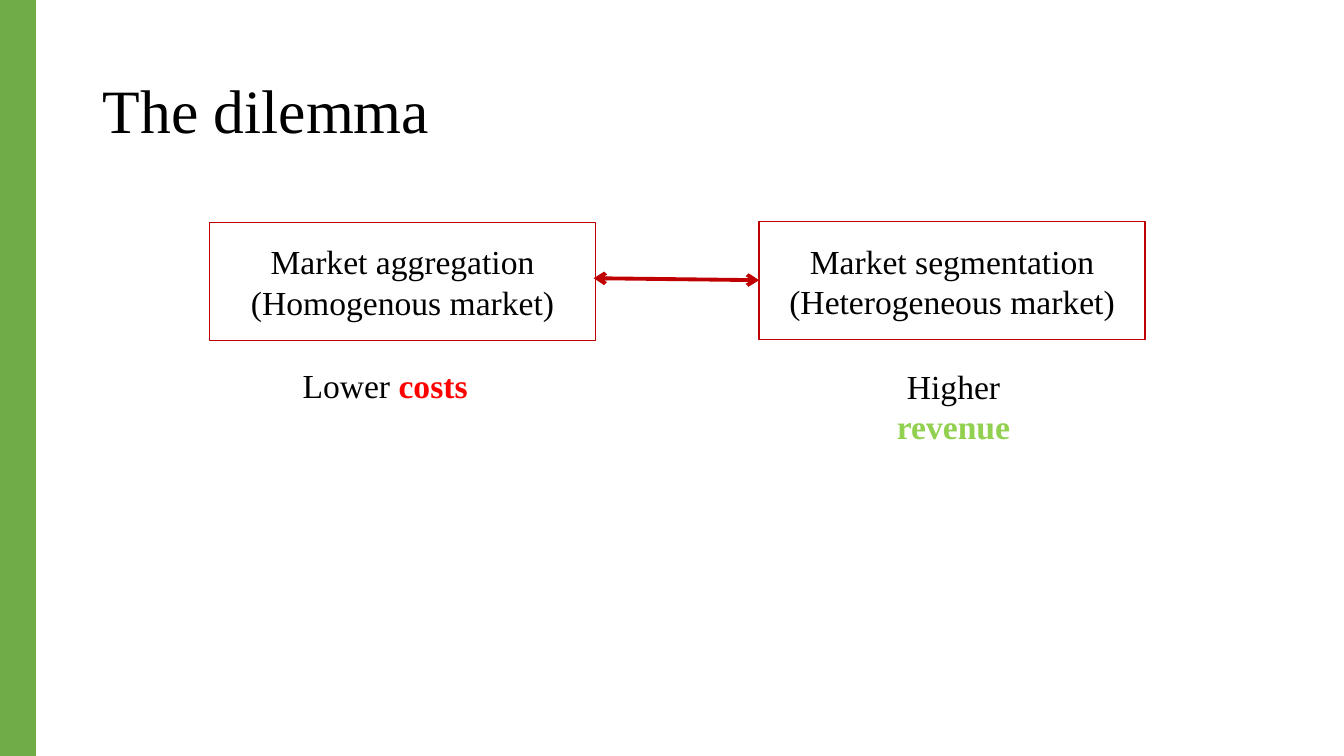
from dataclasses import dataclass

from lxml.etree import SubElement
from pptx import Presentation
from pptx.dml.color import RGBColor
from pptx.enum.shapes import MSO_CONNECTOR, MSO_SHAPE
from pptx.enum.text import MSO_ANCHOR, PP_ALIGN
from pptx.oxml.ns import qn
from pptx.util import Cm, Pt

TITLE = "The dilemma"
STRATEGIES = [
    {
        "lines": ["Market aggregation", "(Homogenous market)"],
        "box": (5.28, 5.61),
        "effect": ("Lower ", "costs", "FF0000"),
        "effect_area": (7.37, 9.07, 4.67, 1.27),
        "wrap": False,
    },
    {
        "lines": ["Market segmentation", "(Heterogeneous market)"],
        "box": (19.13, 5.59),
        "effect": ("Higher ", "revenue", "92D050"),
        "effect_area": (21.11, 9.09, 5.84, 1.27),
        "wrap": True,
    },
]
SLIDE_SIZE = (33.87, 19.05)
TITLE_AREA = (2.34, 1.02, 29.21, 3.68)
BOX_SIZE = (9.73, 2.97)
TENSION_ENDS = (19.13, 7.06, 14.96, 7.01)
SIDEBAR_WIDTH = 0.89


@dataclass(frozen=True)
class Theme:
    font: str = "Times New Roman"
    text: str = "000000"
    accent: str = "C00000"
    sidebar: str = "70AD47"
    title_size: float = 44
    body_size: float = 24
    outline: float = 1
    arrow: float = 2.75


THEME = Theme()


def cm(values):
    return [Cm(value) for value in values]


def style_run(run, size, color=THEME.text, bold=False):
    run.font.name = THEME.font
    run.font.size = Pt(size)
    run.font.bold = bold
    run.font.color.rgb = RGBColor.from_string(color)


def add_rectangle(slide, area, line, fill=None):
    rectangle = slide.shapes.add_shape(MSO_SHAPE.RECTANGLE, *cm(area))
    rectangle.shadow.inherit = False
    if fill:
        rectangle.fill.solid()
        rectangle.fill.fore_color.rgb = RGBColor.from_string(fill)
    else:
        rectangle.fill.background()
    rectangle.line.color.rgb = RGBColor.from_string(line)
    rectangle.line.width = Pt(THEME.outline)
    return rectangle


def add_title(slide):
    frame = slide.shapes.add_textbox(*cm(TITLE_AREA)).text_frame
    frame.word_wrap = True
    frame.vertical_anchor = MSO_ANCHOR.MIDDLE
    frame.text = TITLE
    frame.paragraphs[0].line_spacing = 0.9
    style_run(frame.paragraphs[0].runs[0], THEME.title_size)


def add_strategy(slide, strategy):
    """Draw the outlined strategy and its effect below."""
    box = add_rectangle(slide, strategy["box"] + BOX_SIZE, THEME.accent)
    box.text_frame.vertical_anchor = MSO_ANCHOR.MIDDLE
    box.text_frame.text = "\n".join(strategy["lines"])
    for paragraph in box.text_frame.paragraphs:
        paragraph.alignment = PP_ALIGN.CENTER
        style_run(paragraph.runs[0], THEME.body_size)

    direction, measure, color = strategy["effect"]
    effect = slide.shapes.add_textbox(*cm(strategy["effect_area"])).text_frame
    effect.word_wrap = strategy["wrap"]
    effect.text = direction
    paragraph = effect.paragraphs[0]
    paragraph.alignment = PP_ALIGN.CENTER
    style_run(paragraph.runs[0], THEME.body_size)
    emphasis = paragraph.add_run()
    emphasis.text = measure
    style_run(emphasis, THEME.body_size, color, bold=True)


def add_tension_arrow(slide):
    """Draw the double-headed arrow between the strategies."""
    arrow = slide.shapes.add_connector(MSO_CONNECTOR.STRAIGHT, *cm(TENSION_ENDS))
    arrow.line.color.rgb = RGBColor.from_string(THEME.accent)
    arrow.line.width = Pt(THEME.arrow)
    for end in ("a:headEnd", "a:tailEnd"):
        SubElement(arrow.line._get_or_add_ln(), qn(end), type="arrow")
    SubElement(arrow._element.spPr, qn("a:effectLst"))


def main():
    deck = Presentation()
    deck.slide_width, deck.slide_height = cm(SLIDE_SIZE)
    slide = deck.slides.add_slide(deck.slide_layouts[6])
    add_title(slide)
    for strategy in STRATEGIES:
        add_strategy(slide, strategy)
    add_tension_arrow(slide)
    sidebar_area = (0, 0, SIDEBAR_WIDTH, SLIDE_SIZE[1])
    add_rectangle(slide, sidebar_area, THEME.sidebar, THEME.sidebar)
    deck.save("out.pptx")


if __name__ == "__main__":
    main()
